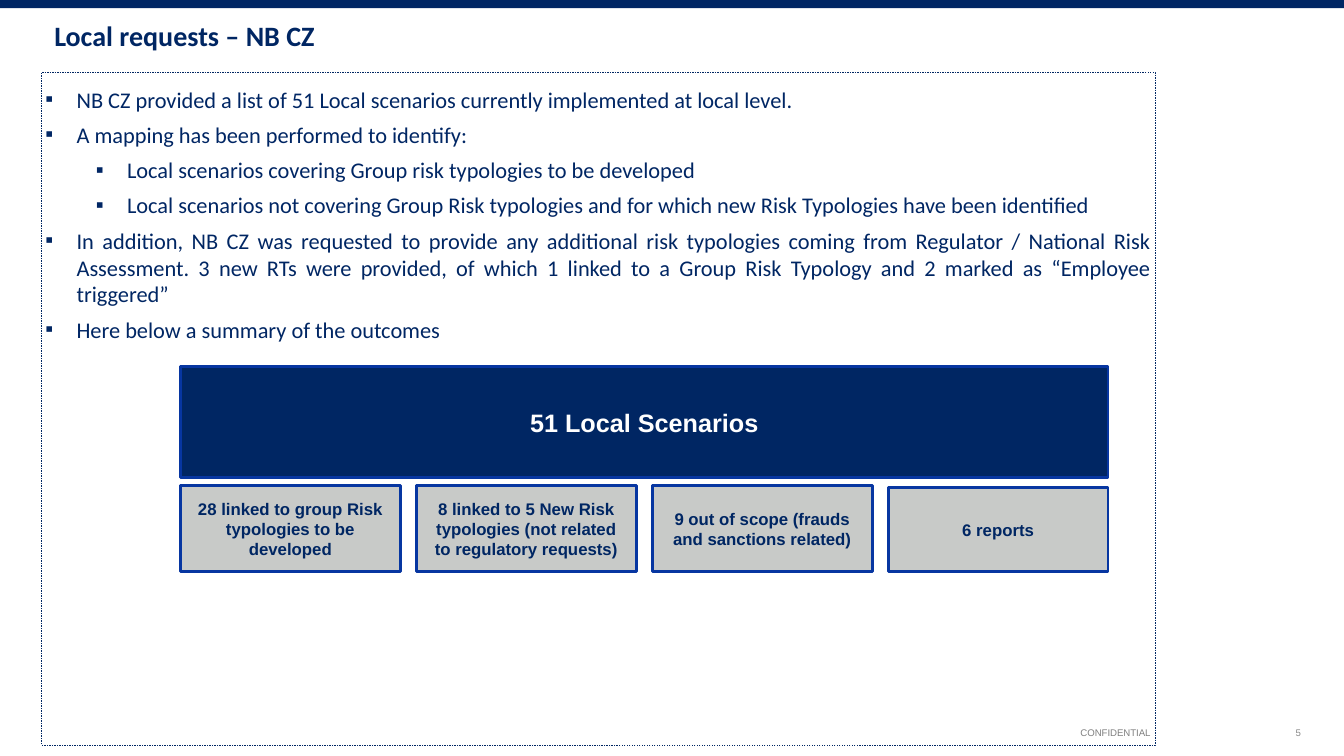
from lxml.etree import SubElement
from pptx import Presentation
from pptx.dml.color import RGBColor
from pptx.enum.dml import MSO_LINE
from pptx.enum.shapes import MSO_SHAPE
from pptx.enum.text import MSO_ANCHOR, PP_ALIGN
from pptx.oxml.ns import qn
from pptx.util import Emu, Pt

EMU_PER_PX = 9144  # 100 px to the inch
COLORS = {
    "bar": "002664",
    "navy": "002663",
    "border": "0736A1",
    "grey": "C8CAC8",
    "white": "FFFFFF",
    "number": "898989",
    "footer": "7F7F7F",
}
BULLETS = [
    (0, "bar", "NB CZ provided a list of 51 Local scenarios currently implemented at local level."),
    (0, "bar", "A mapping has been performed to identify:"),
    (1, "bar", "Local scenarios covering Group risk typologies to be developed"),
    (1, "bar", "Local scenarios not covering Group Risk typologies and for which "
               "new Risk Typologies have been identified"),
    (0, "navy", "In addition, NB CZ was requested to provide any additional risk typologies "
                "coming from Regulator / National Risk Assessment. 3 new RTs were provided, "
                "of which 1 linked to a Group Risk Typology and 2 marked as “Employee triggered”"),
    (0, "bar", "Here below a summary of the outcomes"),
]
OUTCOMES = [
    (482, "28 linked to group Risk typologies to be developed"),
    (482, "8 linked to 5 New Risk typologies (not related to regulatory requests)"),
    (482, "9 out of scope (frauds and sanctions related)"),
    (484, "6 reports"),
]
OUTCOMES_BOTTOM = 567


def px(length):
    return Emu(length * EMU_PER_PX)


def color(name):
    return RGBColor.from_string(COLORS[name])


def set_margins(frame, left, top, right, bottom):
    frame.margin_left, frame.margin_top = px(left), px(top)
    frame.margin_right, frame.margin_bottom = px(right), px(bottom)


def add_run(paragraph, text, size, color_name, font="Arial", bold=False):
    run = paragraph.add_run()
    run.text = text
    run.font.name = font
    run.font.size = Pt(size)
    run.font.bold = bold
    run.font.color.rgb = color(color_name)


def add_label(slide, box, text, size, color_name, align, anchor=MSO_ANCHOR.TOP):
    frame = slide.shapes.add_textbox(*map(px, box)).text_frame
    frame.word_wrap = True
    frame.vertical_anchor = anchor
    paragraph = frame.paragraphs[0]
    paragraph.alignment = align
    add_run(paragraph, text, size, color_name)


def add_title(slide, text):
    frame = slide.shapes.add_textbox(*map(px, (44, -1, 1244, 73))).text_frame
    frame.word_wrap = True
    set_margins(frame, 10, 19, 10, 5)
    add_run(frame.paragraphs[0], text, 20, "navy", "Calibri", True)


def add_rectangle(slide, box, fill=None, line=None, width=0):
    shape = slide.shapes.add_shape(MSO_SHAPE.RECTANGLE, *map(px, box))
    shape.shadow.inherit = False
    if fill:
        shape.fill.solid()
        shape.fill.fore_color.rgb = color(fill)
    else:
        shape.fill.background()
    if line:
        shape.line.color.rgb = color(line)
        shape.line.width = Pt(width)
    else:
        shape.line.fill.background()
    return shape


def add_box(slide, box, text, size, fill, text_color):
    shape = add_rectangle(slide, box, fill, "border", 2)
    frame = shape.text_frame
    frame.word_wrap = True
    frame.vertical_anchor = MSO_ANCHOR.MIDDLE
    paragraph = frame.paragraphs[0]
    paragraph.alignment = PP_ALIGN.CENTER
    add_run(paragraph, text, size, text_color, bold=True)


def format_bullet(paragraph, level):
    """Give the paragraph a square bullet, a hanging indent and a tab stop."""
    properties = paragraph._p.get_or_add_pPr()
    properties.set("marL", str(px(31 + 50 * level)))
    properties.set("indent", str(px(-31)))
    SubElement(properties, qn("a:buFont"), typeface="Arial")
    SubElement(properties, qn("a:buChar"), char="▪")
    tabs = SubElement(properties, qn("a:tabLst"))
    SubElement(tabs, qn("a:tab"), pos=str(px(50)), algn="l")
    paragraph.level = level
    paragraph.alignment = PP_ALIGN.JUSTIFY
    paragraph.space_after = Pt(6)


def add_bullet_frame(slide, bullets):
    shape = add_rectangle(slide, (41, 72, 1105, 667), line="navy", width=0.25)
    shape.line.dash_style = MSO_LINE.DASH
    frame = shape.text_frame
    frame.word_wrap = True
    frame.vertical_anchor = MSO_ANCHOR.TOP
    set_margins(frame, 4, 13, 4, 4)
    for index, (level, color_name, text) in enumerate(bullets):
        paragraph = frame.add_paragraph() if index else frame.paragraphs[0]
        format_bullet(paragraph, level)
        add_run(paragraph, text, 16, color_name, "Calibri")


def main():
    presentation = Presentation()
    presentation.slide_width, presentation.slide_height = px(1333), px(750)
    slide = presentation.slides.add_slide(presentation.slide_layouts[6])

    add_label(slide, (989, 707, 311, 40), "5", 6.9, "number", PP_ALIGN.RIGHT, MSO_ANCHOR.MIDDLE)
    add_label(slide, (958, 716, 297, 22), "CONFIDENTIAL", 6.9, "footer", PP_ALIGN.CENTER)
    add_rectangle(slide, (0, 0, 1333, 8), "bar")
    add_title(slide, "Local requests – NB CZ")
    add_bullet_frame(slide, BULLETS)

    add_box(slide, (179, 364, 920, 110), "51 Local Scenarios", 18, "navy", "white")
    for column, (top, text) in enumerate(OUTCOMES):
        box = (179 + 234 * column, top, 218, OUTCOMES_BOTTOM - top)
        add_box(slide, box, text, 12, "grey", "navy")

    presentation.save("out.pptx")


if __name__ == "__main__":
    main()
